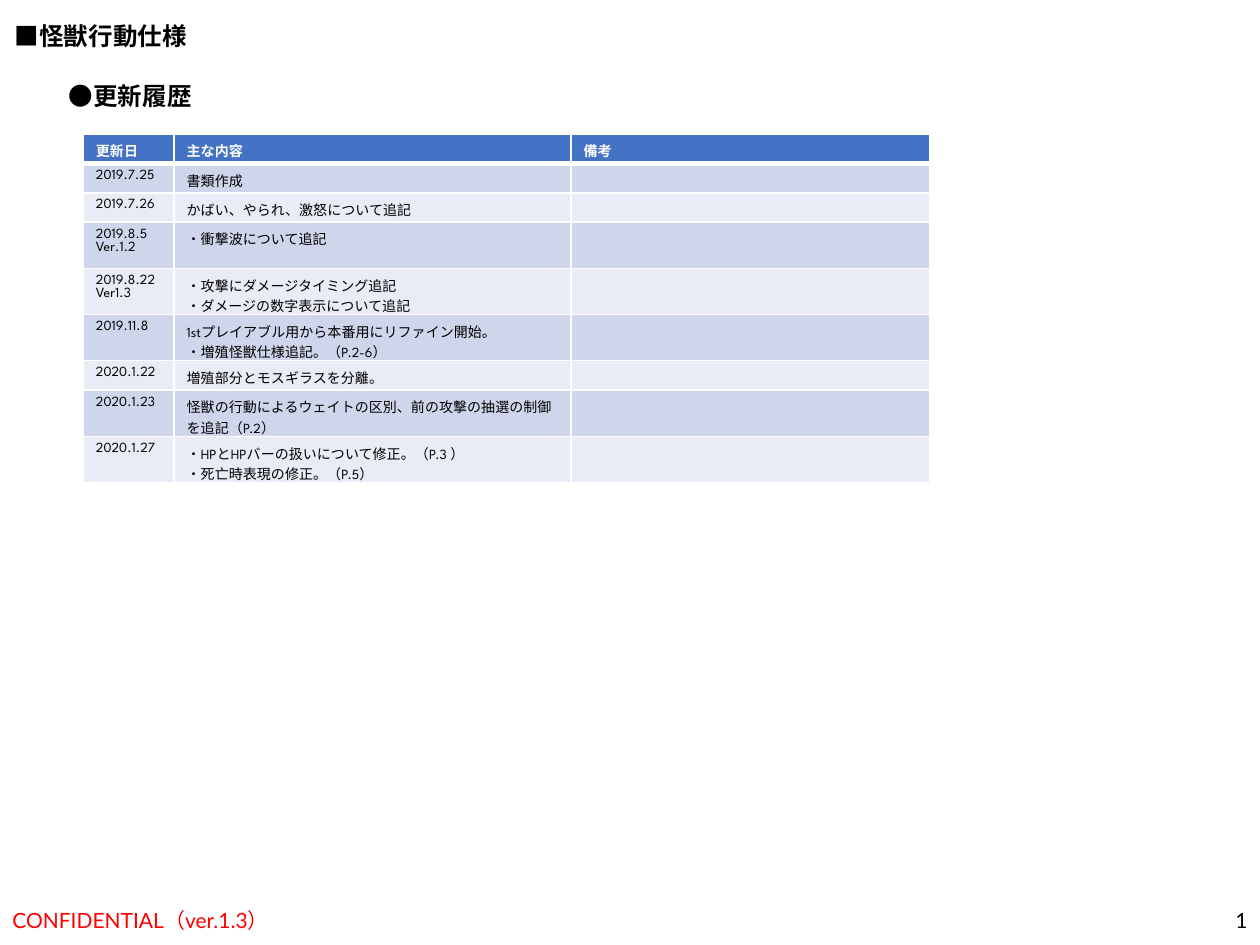
from lxml.etree import SubElement as Sub
from pptx import Presentation
from pptx.dml.color import RGBColor as Rgb
from pptx.enum.text import MSO_ANCHOR as Anchor, MSO_AUTO_SIZE as Auto, PP_ALIGN as Align
from pptx.oxml.ns import qn
from pptx.util import Cm, Pt

HUES = {
    "ink": "000000",
    "white": "FFFFFF",
    "alert": "FF0000",
    "head": "4472C4",
    "odd": "CFD5EA",
    "even": "E9EBF5",
}
BODY, TITLE, FOOT = "League Spartan", "Arial", "Lato"
WIDTHS = [1.83, 8, 7.24]
LINE, PAD = 0.34, 0.25
LOG = [
    ("更新日", "主な内容", "備考"),
    ("2019.7.25", "書類作成", ""),
    ("2019.7.26", "かばい、やられ、激怒について追記", ""),
    ("2019.8.5\nVer.1.2", "・衝撃波について追記", ""),
    ("2019.8.22\nVer1.3", "・攻撃にダメージタイミング追記\n・ダメージの数字表示について追記", ""),
    ("2019.11.8", "1stプレイアブル用から本番用にリファイン開始。\n・増殖怪獣仕様追記。（P.2-6）", ""),
    ("2020.1.22", "増殖部分とモスギラスを分離。", ""),
    ("2020.1.23", "怪獣の行動によるウェイトの区別、前の攻撃の抽選の制御を追記（P.2）", ""),
    ("2020.1.27", "・HPとHPバーの扱いについて修正。（P.3 ）\n・死亡時表現の修正。（P.5）", ""),
]
WRAP = 30


class Deck:
    def __init__(self):
        self.prs = Presentation()
        self.prs.slide_width, self.prs.slide_height = Cm(25.4), Cm(19.05)
        self.slide = self.prs.slides.add_slide(self.prs.slide_layouts[6])

    def style(self, frame, face, size, hue, bold=False, align=Align.LEFT):
        for para in frame.paragraphs:
            para.alignment = align
            font = para.font
            font.name, font.size, font.bold = face, Pt(size), bold
            font.color.rgb = Rgb.from_string(HUES[hue])
            if not para.runs:
                Sub(para._p, qn("a:endParaRPr"), sz=str(size * 100))

    def label(self, text, box, face, size, hue="ink", bold=False, align=Align.LEFT):
        frame = self.slide.shapes.add_textbox(*map(Cm, box)).text_frame
        frame.text = text
        frame.word_wrap = not bold
        if bold:
            frame.auto_size = Auto.SHAPE_TO_FIT_TEXT
        else:
            frame.vertical_anchor = Anchor.MIDDLE
        self.style(frame, face, size, hue, bold, align)

    def edges(self, cell, row):
        props = cell._tc.get_or_add_tcPr()
        thick = {"T": 3 if row == 1 else 1, "B": 3 if row == 0 else 1}
        for side in "LRTB":
            line = Sub(props, qn(f"a:ln{side}"), w=str(Pt(thick.get(side, 1))))
            Sub(Sub(line, qn("a:solidFill")), qn("a:srgbClr"), val=HUES["white"])

    def table(self, rows, left, top):
        tall = [PAD + LINE * max(2 if len(t) > WRAP else t.count("\n") + 1 for t in r)
                for r in rows]
        grid = self.slide.shapes.add_table(
            len(rows), len(WIDTHS), Cm(left), Cm(top), Cm(sum(WIDTHS)), Cm(sum(tall))).table
        for col, wide in zip(grid.columns, WIDTHS):
            col.width = Cm(wide)
        for i, texts in enumerate(rows):
            grid.rows[i].height = Cm(tall[i])
            fill = "head" if i == 0 else "odd" if i % 2 else "even"
            for j, text in enumerate(texts):
                cell = grid.cell(i, j)
                cell.text = text
                self.style(cell.text_frame, BODY, 8, "ink" if i else "white", i == 0)
                self.edges(cell, i)
                cell.fill.solid()
                cell.fill.fore_color.rgb = Rgb.from_string(HUES[fill])


def main():
    deck = Deck()
    deck.label("1", (19.69, 18.03, 5.71, 1.02), FOOT, 12, align=Align.RIGHT)
    deck.label("■怪獣行動仕様", (0.05, 0.3, 4.01, 0.86), TITLE, 14, bold=True)
    deck.label("●更新履歴", (1.14, 1.5, 3, 0.86), BODY, 14, bold=True)
    deck.table(LOG, 1.68, 2.7)
    deck.label("CONFIDENTIAL（ver.1.3）", (0, 18.03, 8.59, 1.02), FOOT, 12, "alert")
    deck.prs.save("out.pptx")


if __name__ == "__main__":
    main()
